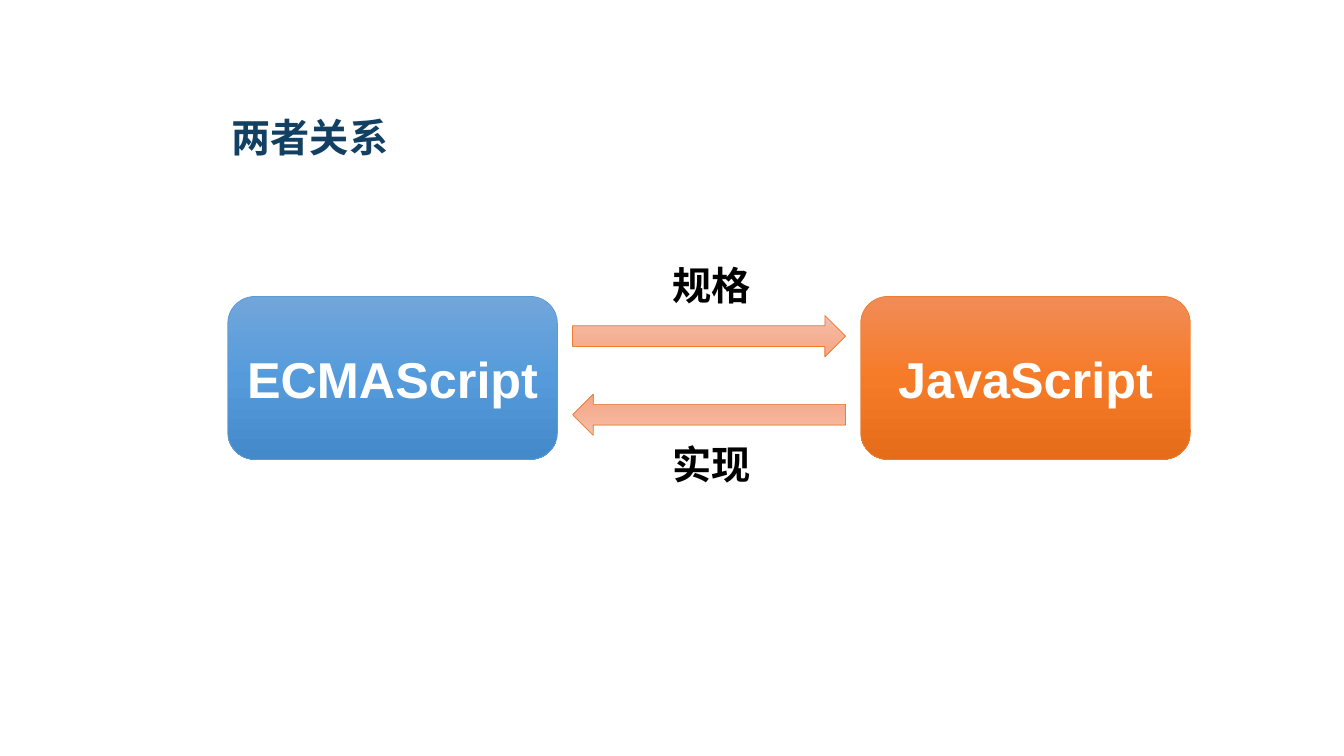
from copy import deepcopy
from dataclasses import dataclass

from pptx import Presentation
from pptx.dml.color import RGBColor
from pptx.enum.shapes import MSO_SHAPE
from pptx.enum.text import MSO_ANCHOR, MSO_AUTO_SIZE, PP_ALIGN
from pptx.oxml.ns import qn
from pptx.util import Cm, Pt

ROUNDED = MSO_SHAPE.ROUNDED_RECTANGLE
RIGHT_ARROW = MSO_SHAPE.RIGHT_ARROW
MIDDLE = MSO_ANCHOR.MIDDLE
FIT_TEXT = MSO_AUTO_SIZE.SHAPE_TO_FIT_TEXT
LEFT, CENTER = PP_ALIGN.LEFT, PP_ALIGN.CENTER


@dataclass(frozen=True)
class Theme:
    font: str = "Arial"
    node_size: int = 36
    text_size: int = 28
    title: str = "124062"
    label: str = "000000"
    node_text: str = "FFFFFF"
    blue: tuple = ("71A6DB", "559BDB", "448ACA")
    blue_line: str = "5B9BD5"
    orange: tuple = ("F18C57", "F67B28", "E56C19")
    orange_line: str = "ED7D31"
    arrow: tuple = ("F7BDA5", "F5B196", "F8A582")


THEME = Theme()


def write(text_frame, text, size, color, alignment):
    text_frame.word_wrap = True
    paragraph = text_frame.paragraphs[0]
    paragraph.alignment = alignment
    run = paragraph.add_run()
    run.text = text
    run.font.name = THEME.font
    run.font.size = Pt(size)
    run.font.bold = True
    run.font.color.rgb = RGBColor.from_string(color)
    return paragraph


def add_gradient_shape(shapes, kind, box, colors, line_color):
    """Add a preset shape with a three-colour gradient from top to bottom."""
    shape = shapes.add_shape(kind, *map(Cm, box))
    shape.shadow.inherit = False
    shape.line.color.rgb = RGBColor.from_string(line_color)
    shape.line.width = Pt(0.5)
    shape.fill.gradient()
    shape.fill.gradient_angle = 270
    stop_list = shape._element.spPr.find(qn("a:gradFill")).find(qn("a:gsLst"))
    stop_list.insert(1, deepcopy(stop_list[0]))
    for index, (stop, color) in enumerate(zip(shape.fill.gradient_stops, colors)):
        stop.position = index / 2
        stop.color.rgb = RGBColor.from_string(color)
    return shape


def add_label(shapes, box, text, color, alignment):
    text_box = shapes.add_textbox(*map(Cm, box))
    text_box.text_frame.auto_size = FIT_TEXT
    return write(text_box.text_frame, text, THEME.text_size, color, alignment)


def add_title(slide, box, text):
    add_label(slide.shapes, box, text, THEME.title, LEFT).line_spacing = 1.8


def add_node(slide, box, text, colors, line_color):
    node = add_gradient_shape(slide.shapes, ROUNDED, box, colors, line_color)
    node.text_frame.vertical_anchor = MIDDLE
    write(node.text_frame, text, THEME.node_size, THEME.node_text, CENTER)


def add_labelled_arrow(slide, box, text, label_offset, rotation):
    """Group an arrow filling the box with a label at a vertical offset from it."""
    left, top, width, _ = box
    shapes = slide.shapes.add_group_shape().shapes
    arrow = add_gradient_shape(shapes, RIGHT_ARROW, box, THEME.arrow, THEME.orange_line)
    arrow.rotation = rotation
    label_width = 5.59
    label_left = left + (width - label_width) / 2 + 0.07
    label_box = (label_left, top + label_offset, label_width, 1.45)
    add_label(shapes, label_box, text, THEME.label, CENTER)


def add_relation(slide, box):
    """Place two nodes at the ends of the box and two arrows between them."""
    left, top, width, height = box
    node_width, gap, arrow_height = 8.31, 0.38, 1.04
    nodes = (
        ("ECMAScript", left, THEME.blue, THEME.blue_line),
        ("JavaScript", left + width - node_width, THEME.orange, THEME.orange_line),
    )
    for text, node_left, colors, line_color in nodes:
        add_node(slide, (node_left, top, node_width, height), text, colors, line_color)

    arrow_left = left + node_width + gap
    arrow_width = width - 2 * (node_width + gap)
    arrows = (("规格", 0.48, -1.5, 0), ("实现", 2.46, 1.04, 180))
    for text, offset, label_offset, rotation in arrows:
        arrow_box = (arrow_left, top + offset, arrow_width, arrow_height)
        add_labelled_arrow(slide, arrow_box, text, label_offset, rotation)


def main():
    presentation = Presentation()
    presentation.slide_width = Cm(33.87)
    presentation.slide_height = Cm(19.05)
    slide = presentation.slides.add_slide(presentation.slide_layouts[6])
    add_title(slide, (5.59, 1.78, 13.39, 2.41), "两者关系")
    add_relation(slide, (5.74, 7.47, 24.26, 4.11))
    presentation.save("out.pptx")


if __name__ == "__main__":
    main()
